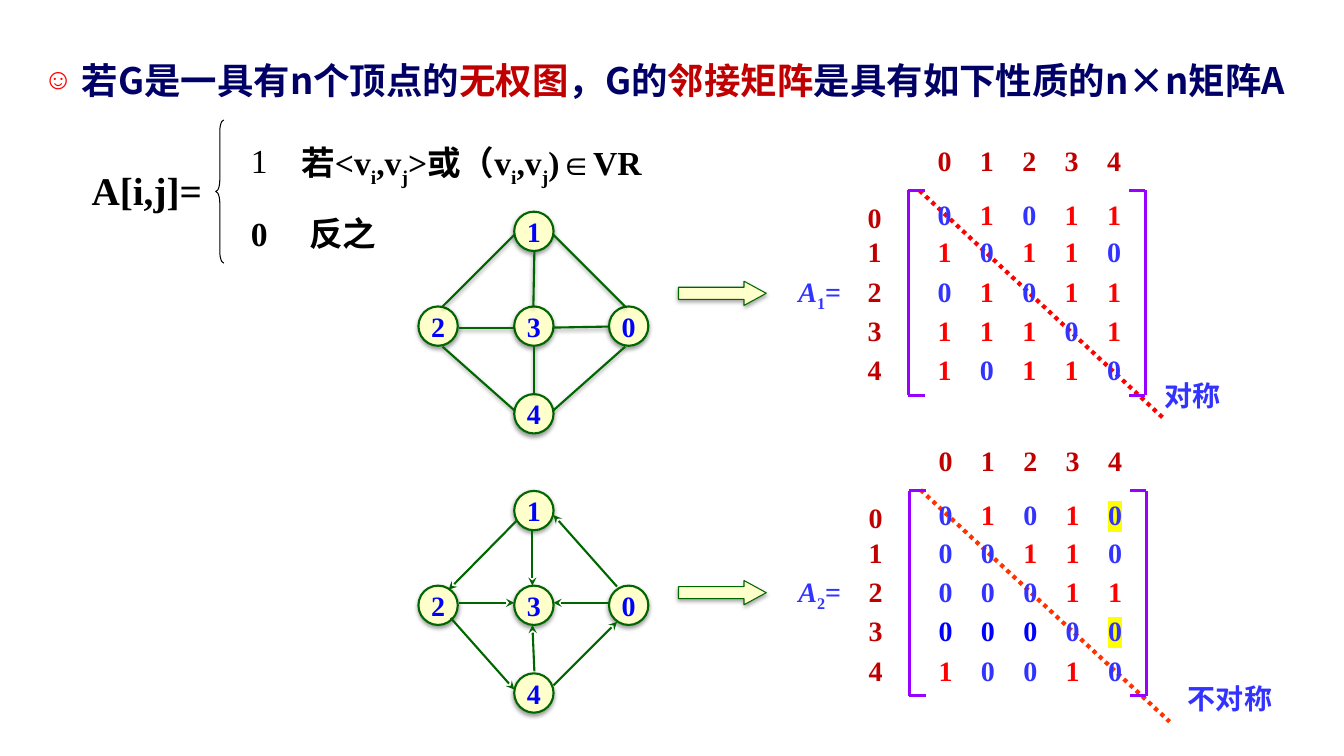
import pptx
import pptx.util
import pptx.dml.color
import pptx.enum.dml
import pptx.enum.shapes
import pptx.enum.text
import pptx.oxml.ns
import lxml.etree

Inches, Pt = pptx.util.Inches, pptx.util.Pt
qn = pptx.oxml.ns.qn
KIND = pptx.enum.shapes.MSO_SHAPE
SERIF, SANS = "Times New Roman", "Noto Sans CJK SC"
COLOR = dict(navy="000066", dark="C00000", black="000000", red="FF0000",
             blue="3333FF", deep="0000FF", green="006600", cream="FFFFCC",
             violet="9900FF", orange="FF3300", yellow="FFFF00")

INTRO = [("若G是一具有n个顶点的", "navy"), ("无权图", "dark"), ("，G的", "navy"),
         ("邻接矩阵", "dark"), ("是具有如下性质的n×n矩阵A", "navy")]
CASE = [("若<v", ""), ("i", "sub"), (",v", ""), ("j", "sub"), (">或（v", ""),
        ("i", "sub"), (",v", ""), ("j", "sub"), (")∈VR", "")]
NODES = {"1": (5.1, 0), "3": (5.1, 0.94), "2": (4.15, 0.94),
         "0": (6.04, 0.94), "4": (5.1, 1.81)}
DIGITS = {"0": ("0", "blue", None), "1": ("1", "red", None),
          "b": ("0", "deep", None), "y": ("0", "blue", "yellow")}
GRAPHS = [
    dict(top=2.1, arrow=2.79, tail=False, edges=[
        (5.1, 2.33, 4.39, 3.04), (5.49, 2.33, 6.2, 3.04),
        (4.55, 3.25, 5.1, 3.25), (5.48, 3.25, 6.04, 3.24),
        (5.3, 2.49, 5.29, 3.04), (4.39, 3.44, 5.1, 4.07),
        (5.3, 3.44, 5.3, 3.91), (6.2, 3.44, 5.49, 4.07)]),
    dict(top=4.87, arrow=5.76, tail=True, edges=[
        (5.13, 5.16, 4.45, 5.85), (5.28, 5.26, 5.28, 5.81),
        (6.12, 5.82, 5.49, 5.11), (4.55, 5.98, 5.1, 5.98),
        (6.05, 5.98, 5.49, 5.98), (5.3, 6.66, 5.28, 6.2),
        (5.49, 6.8, 6.12, 6.17), (4.47, 6.13, 5.1, 6.84)])]
GRIDS = [
    dict(name="1", left=9.3, top=1.42, slant=(9.12, 1.89, 11.54, 4.15),
         hue="red", note=("对称", 11.33, 3.71, 1),
         rows=["01011", "10110", "01011", "11101", "10110"]),
    dict(name="2", left=9.31, top=4.4, slant=(9.13, 4.86, 11.6, 7.16),
         hue="orange", note=("不对称", 11.56, 6.71, 1.28),
         rows=["0101y", "00110", "00011", "bbb0y", "10010"])]
ROW_TOPS = [0.54] + [0.91 + 0.39 * k for k in range(4)]
PITCH = 0.42


def rgb(name):
    return pptx.dml.color.RGBColor.from_string(COLOR[name])


def add_node(base, tag, **attrs):
    return lxml.etree.SubElement(base, qn(tag), attrs)


def add_run(para, text, size, color, face=SERIF, style="", mark=None):
    run = para.add_run()
    run.text = text
    font = run.font
    font.size, font.bold, font.name = Pt(size), True, face
    font.color.rgb = rgb(color)
    if style == "it":
        font.italic = True
    props = run._r.get_or_add_rPr()
    if style == "sub":
        props.set("baseline", "-25000")
    add_node(props, "a:ea", typeface=SANS)
    if mark:
        light = lxml.etree.Element(qn("a:highlight"))
        add_node(light, "a:srgbClr", val=COLOR[mark])
        props.find(qn("a:latin")).addprevious(light)


def indent(para, left, hang, bullet=None, hue=None, size=None):
    props = para._p.get_or_add_pPr()
    props.set("marL", str(Inches(left)))
    props.set("indent", str(-Inches(hang)))
    if hue:
        add_node(add_node(props, "a:buClr"), "a:srgbClr", val=COLOR[hue])
    if size:
        add_node(props, "a:buSzPct", val=str(size * 1000))
    if bullet:
        add_node(props, "a:buChar", char=bullet)
    else:
        add_node(props, "a:buNone")


def set_tabs(para, stops):
    tabs = add_node(para._p.get_or_add_pPr(), "a:tabLst")
    for stop in stops:
        add_node(tabs, "a:tab", pos=str(Inches(stop)), algn="l")


def add_text(left, top, width, height, flush=False, center=False):
    box = slide.shapes.add_textbox(*map(Inches, (left, top, width, height)))
    frame = box.text_frame
    frame.word_wrap = True
    if flush:
        clear_edge(frame)
    para = frame.paragraphs[0]
    if center:
        para.alignment = pptx.enum.text.PP_ALIGN.CENTER
    return para


def clear_edge(frame):
    frame.margin_left = frame.margin_right = 0
    frame.margin_top = frame.margin_bottom = 0


def shade(shape, alpha=0):
    list_ = add_node(shape._element.spPr, "a:effectLst")
    if alpha:
        drop = add_node(list_, "a:outerShdw", blurRad=str(Pt(3.1)),
                        dist=str(Pt(1.7)), dir="5400000", rotWithShape="0")
        tint = add_node(drop, "a:srgbClr", val=COLOR["black"])
        add_node(tint, "a:alpha", val=str(alpha * 1000))


def add_line(ends, color, width, alpha=0, tail=False, dots=False):
    wire = slide.shapes.add_connector(
        pptx.enum.shapes.MSO_CONNECTOR.STRAIGHT, *map(Inches, ends))
    wire.line.color.rgb, wire.line.width = rgb(color), Pt(width)
    if dots:
        wire.line.dash_style = pptx.enum.dml.MSO_LINE.ROUND_DOT
    if tail:
        add_node(wire.line._get_or_add_ln(), "a:tailEnd", type="stealth")
    shade(wire, alpha)


def add_form(kind, place, color, width, fill=None, alpha=0, bends=()):
    form = slide.shapes.add_shape(kind, *map(Inches, place))
    for k, bend in enumerate(bends):
        form.adjustments[k] = bend
    if fill:
        form.fill.solid()
        form.fill.fore_color.rgb = rgb(fill)
    else:
        form.fill.background()
    form.line.color.rgb, form.line.width = rgb(color), Pt(width)
    shade(form, alpha)
    return form


def draw_intro():
    body = slide.placeholders[1]
    body.left, body.top, body.width, body.height = map(
        Inches, (0.33, 0.43, 12.67, 0.94))
    frame = body.text_frame
    frame.auto_size = pptx.enum.text.MSO_AUTO_SIZE.NONE
    para = frame.paragraphs[0]
    indent(para, 0.38, 0.38, "☺", "red", 80)
    para.line_spacing, para.space_before = 1.22, Pt(0)
    for text, color in INTRO:
        add_run(para, text, 26, color, SANS)


def draw_rule():
    add_run(add_text(0.81, 1.6, 1.33, 0.57), "A[i,j]=", 28, "black")
    add_form(KIND.LEFT_BRACE, (2.14, 1.19, 0.08, 1.42), "black", 0.75,
             bends=(1.417, 0.5))
    case = add_text(2.39, 1.27, 4.08, 1.26)
    indent(case, 0.5, 0.5, "1")
    case.line_spacing = 1.2
    for text, style in CASE:
        add_run(case, text, 24, "black", style=style)
    other = case._parent.add_paragraph()
    indent(other, 0.58, 0.58)
    other.line_spacing, other.space_before = 1.2, Pt(12)
    add_run(other, "0\t反之", 24, "black")


def draw_graph(graph):
    add_form(KIND.RIGHT_ARROW, (6.73, graph["arrow"], 0.87, 0.24), "green",
             0.75, "cream", 35, (0.5, 0.917))
    for name, (left, down) in NODES.items():
        disc = add_form(KIND.OVAL, (left, graph["top"] + down, 0.39, 0.39),
                        "green", 1.5, "cream", 38)
        frame = disc.text_frame
        frame.word_wrap = False
        clear_edge(frame)
        frame.vertical_anchor = pptx.enum.text.MSO_ANCHOR.MIDDLE
        frame.paragraphs[0].alignment = pptx.enum.text.PP_ALIGN.CENTER
        add_run(frame.paragraphs[0], name, 20, "deep")
    for ends in graph["edges"]:
        add_line(ends, "green", 1.5, 0 if graph["tail"] else 38, graph["tail"])


def draw_grid(grid):
    left, top = grid["left"], grid["top"]
    add_line(grid["slant"], grid["hue"], 3, dots=True)
    note, x, y, width = grid["note"]
    add_run(add_text(x, y, width, 0.43, center=True), note, 20, "blue", SANS)
    label = add_text(7.74, top + 1.25, 0.78, 0.44, center=True)
    for text, style in (("A", "it"), (grid["name"], "sub"), ("=", "")):
        add_run(label, text, 20, "blue", style=style)
    stops = [PITCH * k for k in range(1, 5)]
    head = add_text(left, top, 1.97, 0.34, True)
    set_tabs(head, stops)
    add_run(head, "\t".join("01234"), 20, "dark")
    for k, row in enumerate(grid["rows"]):
        y = top + ROW_TOPS[k]
        line = add_text(left, y, 1.97, 0.34, True)
        set_tabs(line, stops)
        for col, key in enumerate(row):
            digit, color, mark = DIGITS[key]
            add_run(line, digit + ("\t" if col < 4 else ""), 20, color,
                    mark=mark)
        side = add_text(left - 0.86, y + (0 if k else 0.03), 0.47, 0.34,
                        True, True)
        add_run(side, str(k), 20, "dark")
    high, low = top + 0.47, top + 2.5
    for edge, turn in ((left - 0.29, 0.16), (left + 2.06, -0.16)):
        add_line((edge, high, edge, low), "violet", 2.25)
        for y in (high, low):
            add_line((edge, y, edge + turn, y), "violet", 2.25)


deck = pptx.Presentation()
deck.slide_width, deck.slide_height = Inches(13.33), Inches(7.5)
slide = deck.slides.add_slide(deck.slide_layouts[1])
title = slide.shapes.title._element
title.getparent().remove(title)
draw_intro()
draw_rule()
for graph in GRAPHS:
    draw_graph(graph)
for grid in GRIDS:
    draw_grid(grid)
deck.save("out.pptx")
